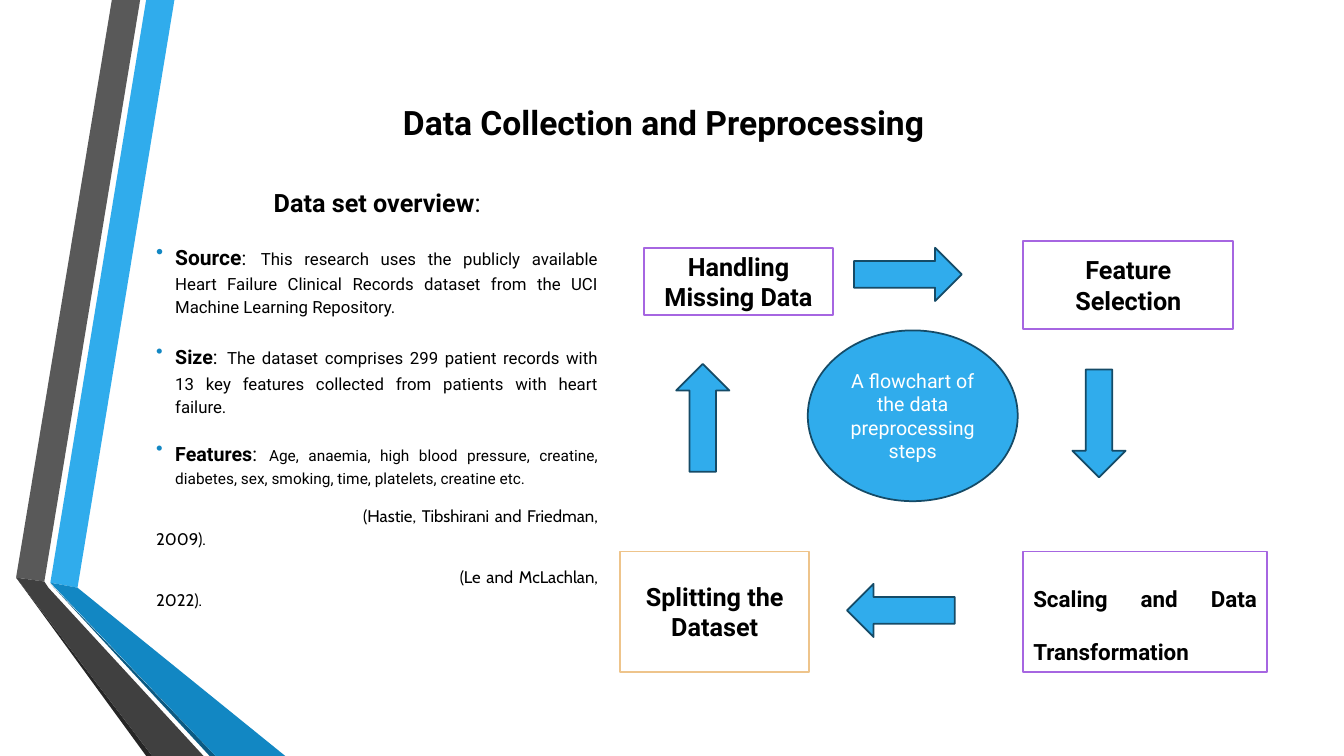
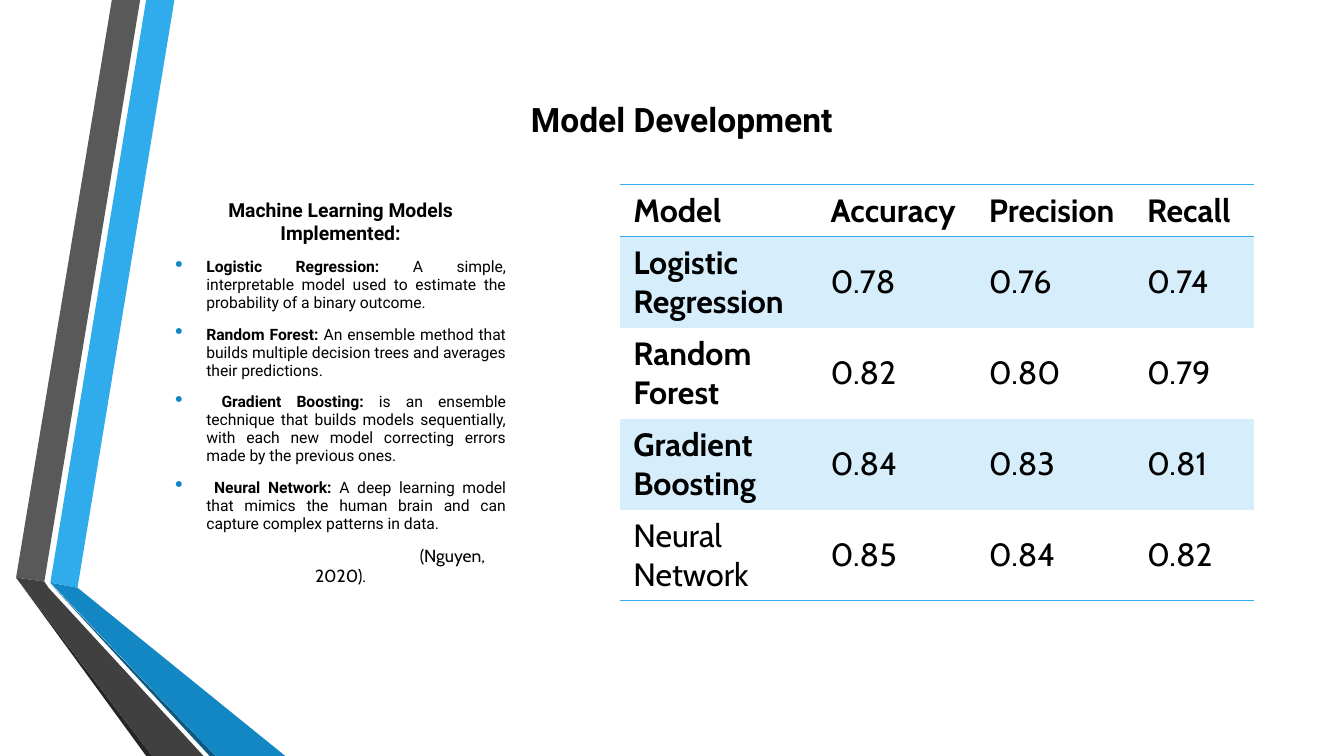
from pptx import Presentation
from pptx.dml.color import RGBColor
from pptx.enum.shapes import MSO_SHAPE as Shape
from pptx.enum.text import MSO_ANCHOR as Anchor, PP_ALIGN as Align
from pptx.oxml.ns import qn
from pptx.util import Pt
from lxml.etree import SubElement, Element

BLUE, DEEP_BLUE, NAVY = "30ACEC", "1287C3", "154B67"
BLACK, WHITE, PALE_BLUE = "000000", "FFFFFF", "D6EEFB"
PURPLE, SAND = "A666E1", "EEC48B"
ROBOTO, CABIN = "Roboto", "Cabin"
NO_GRID_STYLE = "{2D5ABB26-0587-4C30-8999-92F81FD0307C}"

RIBBONS = [
    (BLUE, [(36, 416.2), (55.4, 419.8), (124.6, 0), (104.4, 0)]),
    ("595959", [(100.1, 0), (79.9, 0), (11.5, 412.6), (31.7, 415.4)]),
    ("262626", [(11.5, 412.6), (104.4, 540), (108.7, 540)]),
    ("0C5A82", [(36, 416.9), (149.8, 540), (154.1, 540)]),
    (DEEP_BLUE, [(36, 416.2), (154.1, 540), (203.8, 540), (55.4, 419.8)]),
    ("404040", [(145.4, 540), (34.6, 419.8), (31.7, 415.4), (11.5, 412.6), (108.7, 540)]),
]


def color(hex_text):
    return RGBColor.from_string(hex_text)


def apply(target, values):
    for name, value in values.items():
        setattr(target, name, value)


def paint(shape, fill, line=None):
    shape.shadow.inherit = False
    shape.fill.solid()
    shape.fill.fore_color.rgb = color(fill)
    if line:
        shape.line.color.rgb = color(line)
        shape.line.width = Pt(1.25)
    else:
        shape.line.fill.background()


def add_span(para, text, size, font=ROBOTO, bold=False, ink=BLACK):
    span = para.add_run()
    span.text = text
    apply(span.font, {"size": Pt(size), "name": font, "bold": bold})
    span.font.color.rgb = color(ink)


def set_indent(para, margin, first, bullet_size=None):
    props = para._p.get_or_add_pPr()
    props.set("marL", str(Pt(margin)))
    props.set("indent", str(Pt(first)))
    if bullet_size:
        SubElement(SubElement(props, qn("a:buClr")), qn("a:srgbClr"), val=DEEP_BLUE)
        SubElement(props, qn("a:buSzPct"), val=str(bullet_size * 1000))
        SubElement(props, qn("a:buChar"), char="•")


def ribbons(page):
    for fill, points in RIBBONS:
        corners = [(x * 10, y * 10) for x, y in points]
        builder = page.shapes.build_freeform(*corners[0], scale=Pt(0.1))
        builder.add_line_segments(corners[1:], close=True)
        paint(builder.convert_to_shape(), fill)


def text_panel(page, box, paras, anchor=Anchor.TOP, **shared):
    frame = page.shapes.add_textbox(*map(Pt, box)).text_frame
    apply(frame, {"word_wrap": True, "vertical_anchor": anchor})
    for index, (indent, values, spans) in enumerate(paras):
        para = frame.add_paragraph() if index else frame.paragraphs[0]
        if indent:
            set_indent(para, *indent)
        apply(para, {**shared, **values})
        if not index:
            para.space_before = Pt(0)
        for span in spans:
            add_span(para, *span)


def titled_page(deck, title, box):
    page = deck.slides.add_slide(deck.slide_layouts[6])
    ribbons(page)
    spans = [(title, 24, ROBOTO, True)]
    text_panel(page, box, [(None, {"alignment": Align.CENTER}, spans)], Anchor.BOTTOM)
    return page


def overview(page, box):
    facts = [
        ("Source", 15, 14, 20, 12,
         "This research uses the publicly available Heart Failure Clinical Records dataset "
         "from the UCI Machine Learning Repository."),
        ("Size", 14, 14, 20, 12,
         "The dataset comprises 299 patient records with 13 key features collected from "
         "patients with heart failure."),
        ("Features", 14, 14, 18, 11,
         "Age, anaemia, high blood pressure, creatine, diabetes, sex, smoking, time, "
         "platelets, creatine etc."),
    ]
    citations = [("(Hastie, Tibshirani and Friedman, 2009).", 148), ("(Le and McLachlan, 2022).", 217)]
    paras = [(None, {"alignment": Align.CENTER},
              [("Data set overview", 18, ROBOTO, True), (":", 18)])]
    for name, name_size, colon_size, gap_size, size, text in facts:
        spans = [(name, name_size, ROBOTO, True), (":", colon_size), (" ", gap_size), (text, size)]
        paras.append(((13.7, -13.7, 100), {}, spans))
    for text, first in citations:
        paras.append(((0, first), {}, [(text, 12, CABIN)]))
    text_panel(page, box, paras, Anchor.MIDDLE, alignment=Align.JUSTIFY, line_spacing=1.15,
               space_before=Pt(2.5), space_after=Pt(8))


def flowchart(page, box):
    left, top = box[:2]

    def place(kind, x, y, width, height, fill, line):
        shape = page.shapes.add_shape(kind, Pt(left + x), Pt(top + y), Pt(width), Pt(height))
        paint(shape, fill, line)
        return shape

    def label(shape, text, size, bold=True, ink=BLACK, **values):
        apply(shape.text_frame, {"word_wrap": True, "vertical_anchor": Anchor.MIDDLE})
        para = shape.text_frame.paragraphs[0]
        apply(para, {"alignment": Align.CENTER, **values})
        add_span(para, text, size, ROBOTO, bold, ink)

    spread = {"alignment": Align.JUSTIFY, "line_spacing": 2.0}
    steps = [
        ("Handling Missing Data", (17, 5, 135, 48), PURPLE, 18, {}),
        ("Feature Selection", (288, 0, 150, 63), PURPLE, 18, {}),
        ("Scaling and Data Transformation", (288, 222, 174, 86), PURPLE, 16, spread),
        ("Splitting the Dataset", (0, 222, 135, 86), SAND, 18, {}),
    ]
    arrows = [
        (Shape.RIGHT_ARROW, 167, 5, 77, 38),
        (Shape.DOWN_ARROW, 323, 92, 38, 77),
        (Shape.LEFT_ARROW, 162, 245, 77, 38),
        (Shape.UP_ARROW, 40, 88, 38, 77),
    ]
    for text, area, line, size, values in steps:
        label(place(Shape.FLOWCHART_PROCESS, *area, WHITE, line), text, size, **values)
    for arrow in arrows:
        place(*arrow, BLUE, NAVY)
    hub = place(Shape.FLOWCHART_CONNECTOR, 134, 64, 150, 122, BLUE, NAVY)
    label(hub, "A flowchart of the data preprocessing steps", 14, False, WHITE)


def models(page, box):
    entries = [
        ("Logistic Regression: ",
         "A simple, interpretable model used to estimate the probability of a binary outcome."),
        ("Random Forest:",
         " An ensemble method that builds multiple decision trees and averages their predictions."),
        (" Gradient Boosting: ",
         "is an ensemble technique that builds models sequentially, with each new model "
         "correcting errors made by the previous ones."),
        (" Neural Network: ",
         "A deep learning model that mimics the human brain and can capture complex patterns in data."),
    ]
    centered = {"alignment": Align.CENTER}
    paras = [(None, {**centered, "line_spacing": 1.0},
              [("Machine Learning Models Implemented:", 13.8, ROBOTO, True)])]
    for name, text in entries:
        paras.append(((22.3, -22.3, 145), {}, [(name, 11.2, ROBOTO, True), (text, 11.2)]))
    paras.append(((0, 160), centered, [("(Nguyen, 2020).", 12.5, CABIN)]))
    text_panel(page, box, paras, alignment=Align.JUSTIFY, line_spacing=0.95,
               space_before=Pt(2), space_after=Pt(8))


def add_border(cell, side):
    line = Element(qn(f"a:{side}"), w=str(Pt(1)))
    SubElement(SubElement(line, qn("a:solidFill")), qn("a:srgbClr"), val=BLUE)
    cell._tc.get_or_add_tcPr().insert(0, line)


def results_table(page, box):
    rows = [
        ("Model", "Accuracy", "Precision", "Recall"),
        ("Logistic Regression", "0.78", "0.76", "0.74"),
        ("Random Forest", "0.82", "0.80", "0.79"),
        ("Gradient Boosting", "0.84", "0.83", "0.81"),
        ("Neural Network", "0.85", "0.84", "0.82"),
    ]
    last = len(rows) - 1
    table = page.shapes.add_table(len(rows), len(rows[0]), *map(Pt, box)).table
    apply(table, {"first_row": False, "horz_banding": False})
    table._tbl.tblPr.find(qn("a:tableStyleId")).text = NO_GRID_STYLE
    for column, width in zip(table.columns, (141, 113, 113, 86)):
        column.width = Pt(width)
    for r, values in enumerate(rows):
        table.rows[r].height = Pt(65 if r else 37)
        for c, text in enumerate(values):
            cell = table.cell(r, c)
            apply(cell, {"margin_left": Pt(9.4), "margin_right": Pt(9.4),
                         "margin_top": Pt(4.5), "margin_bottom": Pt(4.5),
                         "vertical_anchor": Anchor.MIDDLE if r else Anchor.TOP})
            if r % 2:
                cell.fill.solid()
                cell.fill.fore_color.rgb = color(PALE_BLUE)
            else:
                cell.fill.background()
            bold = r == 0 or (c == 0 and r < last)
            add_span(cell.text_frame.paragraphs[0], text, 23, CABIN, bold)
            if r in (0, last):
                add_border(cell, "lnB")
            if r == 0:
                add_border(cell, "lnT")


def main():
    deck = Presentation()
    apply(deck, {"slide_width": Pt(960), "slide_height": Pt(540)})

    page = titled_page(deck, "Data Collection and Preprocessing", (174, 65, 600, 40))
    overview(page, (104.4, 105, 330, 356))
    flowchart(page, (443, 172, 462, 308))

    page = titled_page(deck, "Model Development", (187, 63, 600, 40))
    models(page, (118, 138, 250.5, 333))
    results_table(page, (443, 132, 453, 297))

    deck.save("out.pptx")


if __name__ == "__main__":
    main()
